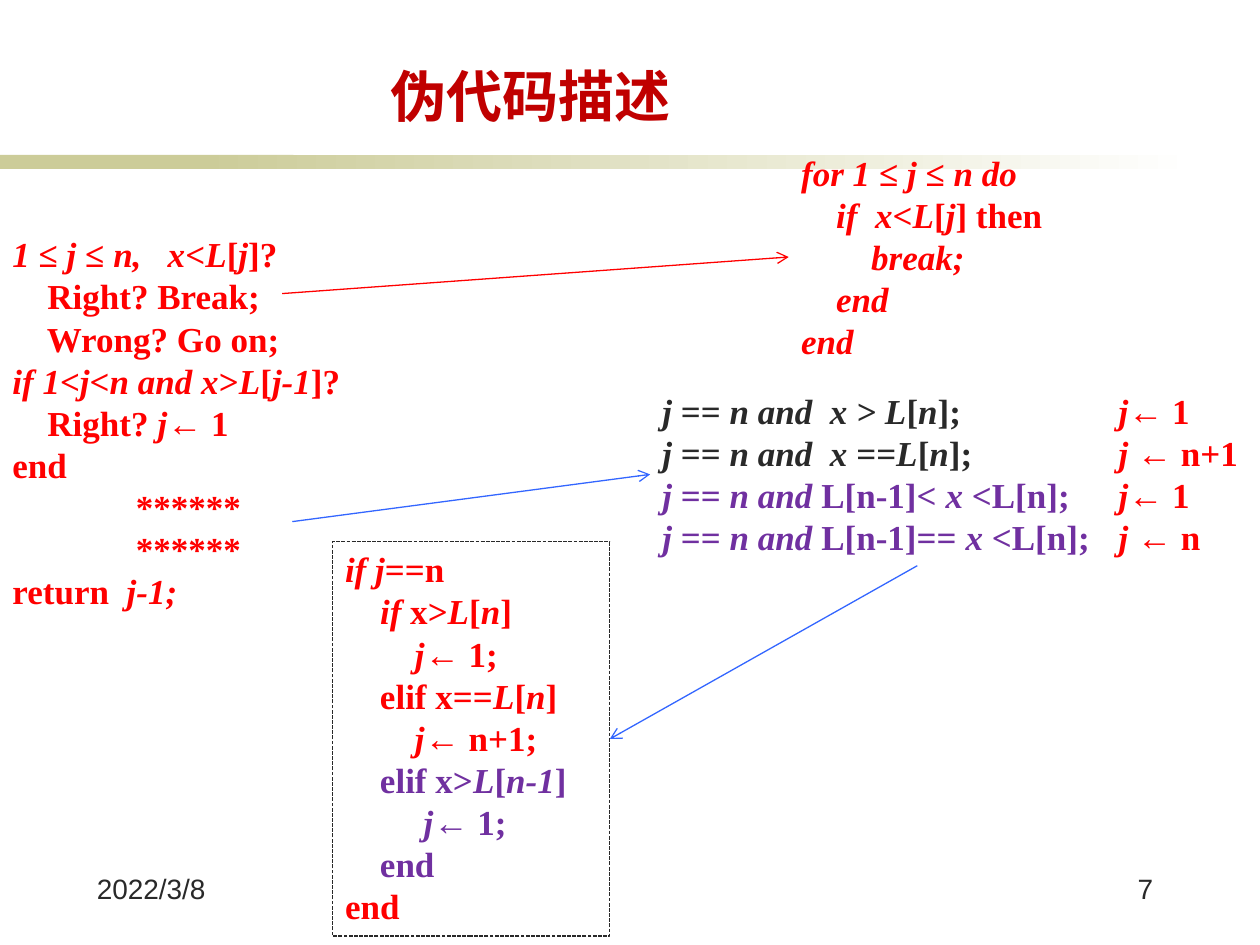
from lxml.etree import SubElement
from pptx import Presentation
from pptx.dml.color import RGBColor
from pptx.enum.dml import MSO_LINE
from pptx.enum.shapes import MSO_CONNECTOR, MSO_SHAPE
from pptx.enum.text import MSO_ANCHOR, MSO_AUTO_SIZE, PP_ALIGN
from pptx.oxml.ns import qn
from pptx.util import Inches, Pt

RED = RGBColor(0xFF, 0, 0)
WINE = RGBColor(0xC0, 0, 0)
PURPLE = RGBColor(0x70, 0x30, 0xA0)
BLUE = RGBColor(0x33, 0x66, 0xFF)
DARK = RGBColor(0x29, 0x29, 0x29)
SAND = RGBColor(0xCC, 0xCC, 0x99)
WHITE = RGBColor(0xFF, 0xFF, 0xFF)


class Deck:
    """Holds the style and the current slide; an underscore in code text toggles italics."""

    sans = "Arial"
    serif = "Times New Roman"
    thin = Pt(0.75)

    def __init__(self):
        self.file = Presentation()
        self.file.slide_width, self.file.slide_height = Inches(10), Inches(7.5)
        self.slide = self.file.slides.add_slide(self.file.slide_layouts[5])
        self.shapes = self.slide.shapes

    def style(self, para, name, size, color, bold=True, align=PP_ALIGN.LEFT):
        para.alignment = align
        font = para.font
        font.name, font.size, font.bold = name, Pt(size), bold
        font.color.rgb = color

    def title(self, text, left, top, width, height):
        box = self.shapes.title
        box.left, box.top = Inches(left), Inches(top)
        box.width, box.height = Inches(width), Inches(height)
        frame = box.text_frame
        frame.text = text
        frame.vertical_anchor = MSO_ANCHOR.BOTTOM
        self.style(frame.paragraphs[0], self.sans, 32, WINE, align=PP_ALIGN.CENTER)

    def band(self, left, width, fade=False):
        bar = self.shapes.add_shape(
            MSO_SHAPE.RECTANGLE, Inches(left), Inches(1.23), Inches(width), Inches(0.11))
        bar.shadow.inherit = False
        bar.line.fill.background()
        if fade:
            bar.fill.gradient()
            bar.fill.gradient_angle = 0
            for stop, color in zip(bar.fill.gradient_stops, (SAND, WHITE)):
                stop.color.rgb = color
        else:
            bar.fill.solid()
            bar.fill.fore_color.rgb = SAND

    def box(self, left, top, width, height):
        box = self.shapes.add_textbox(
            Inches(left), Inches(top), Inches(width), Inches(height))
        box.text_frame.word_wrap = True
        return box

    def label(self, text, left, width, align=PP_ALIGN.LEFT):
        para = self.box(left, 6.87, width, 0.5).text_frame.paragraphs[0]
        para.text = text
        self.style(para, self.sans, 16, DARK, False, align)

    def code(self, left, top, width, height, *parts):
        box = self.box(left, top, width, height)
        frame = box.text_frame
        frame.auto_size = MSO_AUTO_SIZE.SHAPE_TO_FIT_TEXT
        lines = [(line, color) for color, part in parts for line in part]
        for row, (line, color) in enumerate(lines):
            para = frame.add_paragraph() if row else frame.paragraphs[0]
            align = PP_ALIGN.CENTER if line.startswith("*") else PP_ALIGN.LEFT
            self.style(para, self.serif, 20, color, align=align)
            for turn, text in enumerate(line.split("_")):
                if text:
                    run = para.add_run()
                    run.text = text
                    run.font.italic = turn % 2 == 1
        return box

    def frame(self, box):
        box.line.color.rgb = DARK
        box.line.width = self.thin
        box.line.dash_style = MSO_LINE.SQUARE_DOT

    def arrow(self, start, end, color, box, side):
        line = self.shapes.add_connector(
            MSO_CONNECTOR.STRAIGHT, *[Inches(n) for n in start + end])
        line.end_connect(box, side)
        line.line.color.rgb = color
        line.line.width = self.thin
        SubElement(line.line._get_or_add_ln(), qn("a:tailEnd"), type="arrow")
        SubElement(line._element.spPr, qn("a:effectLst"))


def main():
    deck = Deck()
    deck.band(0, 2.33)
    deck.band(1.58, 7.92, fade=True)
    deck.title("伪代码描述", 1.14, 0.44, 6.14, 0.63)
    deck.label("2022/3/8", 0.67, 1.41)
    deck.label("7", 8.23, 1.02, PP_ALIGN.RIGHT)

    deck.code(0, 1.8, 2.99, 3.13, (RED, [
        "_1 _≤ _j _≤ _n,   x_<_L_[_j_]?",
        "    Right? Break;",
        "    Wrong? Go on;",
        "_if 1<j<n and x_>_L_[_j-1_]?",
        "    Right? _j_← 1",
        "end",
        "******",
        "******",
        "return  _j-1;_",
    ]))
    deck.code(8.78, 3.04, 1.22, 1.45, (RED, [
        "_j_← 1",
        "_j _← n+1",
        "_j_← 1",
        "_j _← n",
    ]))
    loop = deck.code(6.26, 1.15, 3.15, 1.78, (RED, [
        "_for 1 _≤ _j _≤ _n do_",
        "_    if  x_<_L_[_j_] then",
        "_        break;_",
        "_    end_",
        "_end_",
    ]))
    cases = deck.code(5.16, 3.04, 3.7, 1.45, (DARK, [
        "_j_ == _n and  x > L_[_n_];",
        "_j_ == _n and  x ==L_[_n_];",
    ]), (PURPLE, [
        "_j_ == _n and_ L[n-1]< _x <_L[n];",
        "_j_ == _n and_ L[n-1]== _x <_L[n];",
    ]))
    tests = deck.code(2.64, 4.3, 2.2, 3.13, (RED, [
        "_if j_==n",
        "   _ if _x>_L_[_n_]",
        "_        j_← 1;",
        "    elif x==_L_[_n_]",
        "_        j_← n+1;",
    ]), (PURPLE, [
        "    elif x>_L_[_n-1_]",
        "_         j_← 1;",
        "    end",
    ]), (RED, ["end"]))
    deck.frame(tests)

    deck.arrow((2.24, 2.33), (6.26, 2.04), RED, loop, 1)
    deck.arrow((2.32, 4.14), (5.16, 3.76), BLUE, cases, 1)
    deck.arrow((7.28, 4.49), (4.84, 5.87), BLUE, tests, 3)
    deck.file.save("out.pptx")


if __name__ == "__main__":
    main()
